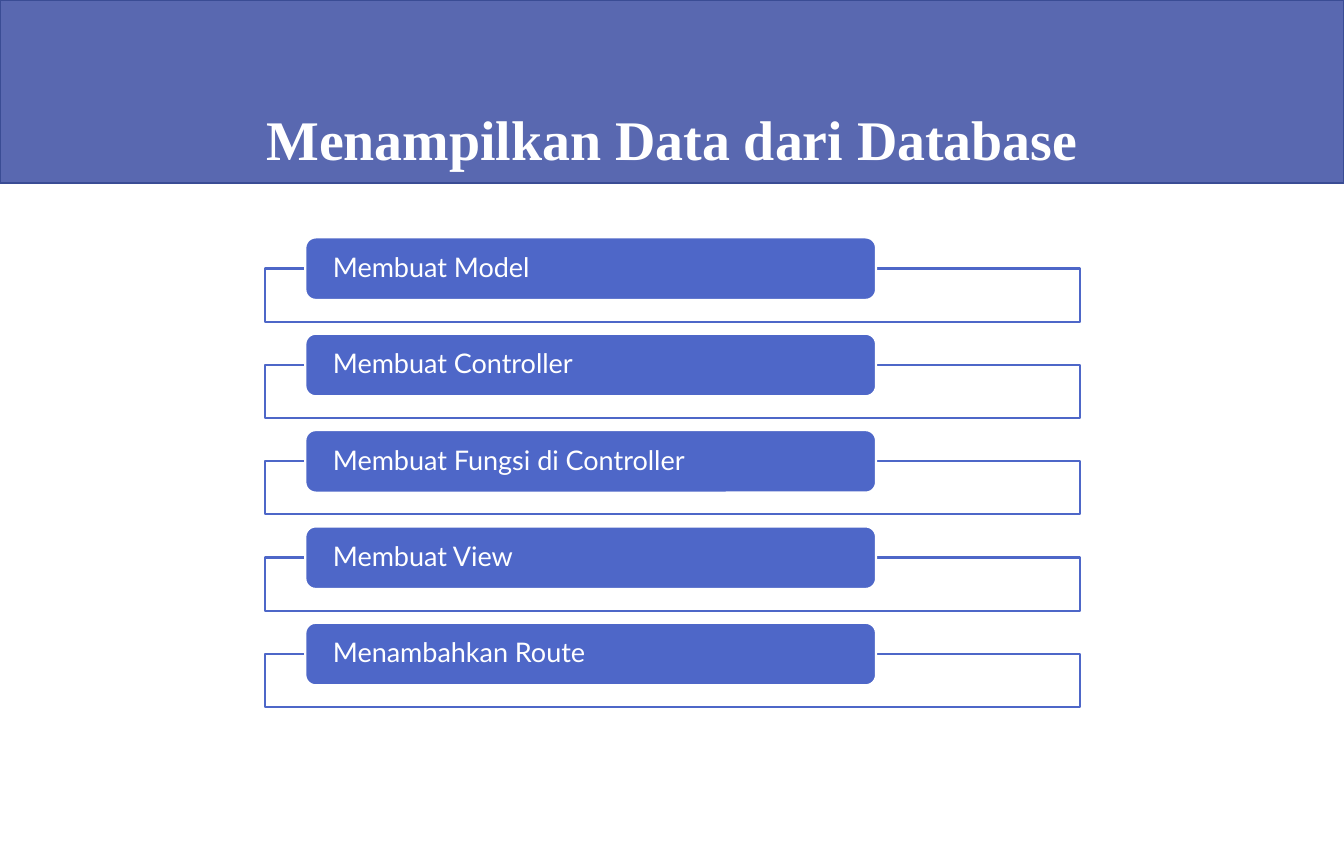
"""Builds a slide that lists the five steps for showing data from a database."""
from dataclasses import dataclass

from lxml.etree import SubElement
from pptx import Presentation
from pptx.dml.color import RGBColor as RGB
from pptx.enum.shapes import MSO_SHAPE as Kind
from pptx.enum.text import MSO_ANCHOR as Anchor, MSO_AUTO_SIZE as Fit, PP_ALIGN as Align
from pptx.oxml.ns import qn
from pptx.util import Cm, Pt


@dataclass(frozen=True)
class Theme:
    band: str = "5968B0"
    edge: str = "3A4C94"
    blue: str = "4E67C8"
    white: str = "FFFFFF"
    serif: str = "Times New Roman"
    sans: str = "Lato"
    head: float = 39.3
    body: float = 19
    line: float = 1.5


def write(shape, text, *, font, size, bold=False, align=Align.LEFT, inset=0, lead=1.0):
    frame = shape.text_frame
    frame.word_wrap, frame.auto_size = True, Fit.NONE
    frame.vertical_anchor = Anchor.MIDDLE
    frame.margin_left = frame.margin_right = Cm(inset)
    frame.margin_top = frame.margin_bottom = 0
    para = frame.paragraphs[0]
    para.alignment, para.line_spacing = align, lead
    para.space_before = Pt(0)
    run = para.add_run()
    run.text = text
    run.font.name, run.font.size, run.font.bold = font, Pt(size), bold
    run.font.color.rgb = RGB.from_string(theme.white)


def draw(shapes, kind, box, fill, line):
    shape = shapes.add_shape(kind, *map(Cm, box))
    shape.shadow.inherit = False
    shape.fill.solid()
    shape.fill.fore_color.rgb = RGB.from_string(fill)
    shape.line.color.rgb = RGB.from_string(line)
    shape.line.width = Pt(theme.line)
    return shape


theme = Theme()
wide, high = 33.32, 21.01
deck = Presentation()
deck.slide_width, deck.slide_height = Cm(wide), Cm(high)
slide = deck.slides.add_slide(deck.slide_layouts[5])
shapes = slide.shapes

title = shapes.title
band = draw(shapes, Kind.RECTANGLE, (0, 0, wide, 4.55), theme.band, theme.edge)
title.element.addprevious(band.element)
title.left, title.top, title.width, title.height = map(Cm, (1.32, 2.24, 30.68, 2.39))
write(title, "Menampilkan Data dari Database", font=theme.serif, size=theme.head,
      bold=True, align=Align.CENTER)

steps = ["Membuat Model", "Membuat Controller", "Membuat Fungsi di Controller",
         "Membuat View", "Menambahkan Route"]
first, pitch, drop = 5.89, 2.39, 0.77
group = shapes.add_group_shape()
for row, step in enumerate(steps):
    top = first + row * pitch
    frame = draw(group.shapes, Kind.RECTANGLE, (6.58, top + drop, 20.19, 1.32),
                 theme.white, theme.blue)
    tint = frame.element.spPr.find(qn("a:solidFill"))[0]
    SubElement(tint, qn("a:alpha"), val="90000")
    label = draw(group.shapes, Kind.ROUNDED_RECTANGLE, (7.57, top, 14.15, 1.55),
                 theme.blue, theme.white)
    write(label, step, font=theme.sans, size=theme.body, inset=0.61, lead=0.9)

deck.save("out.pptx")
